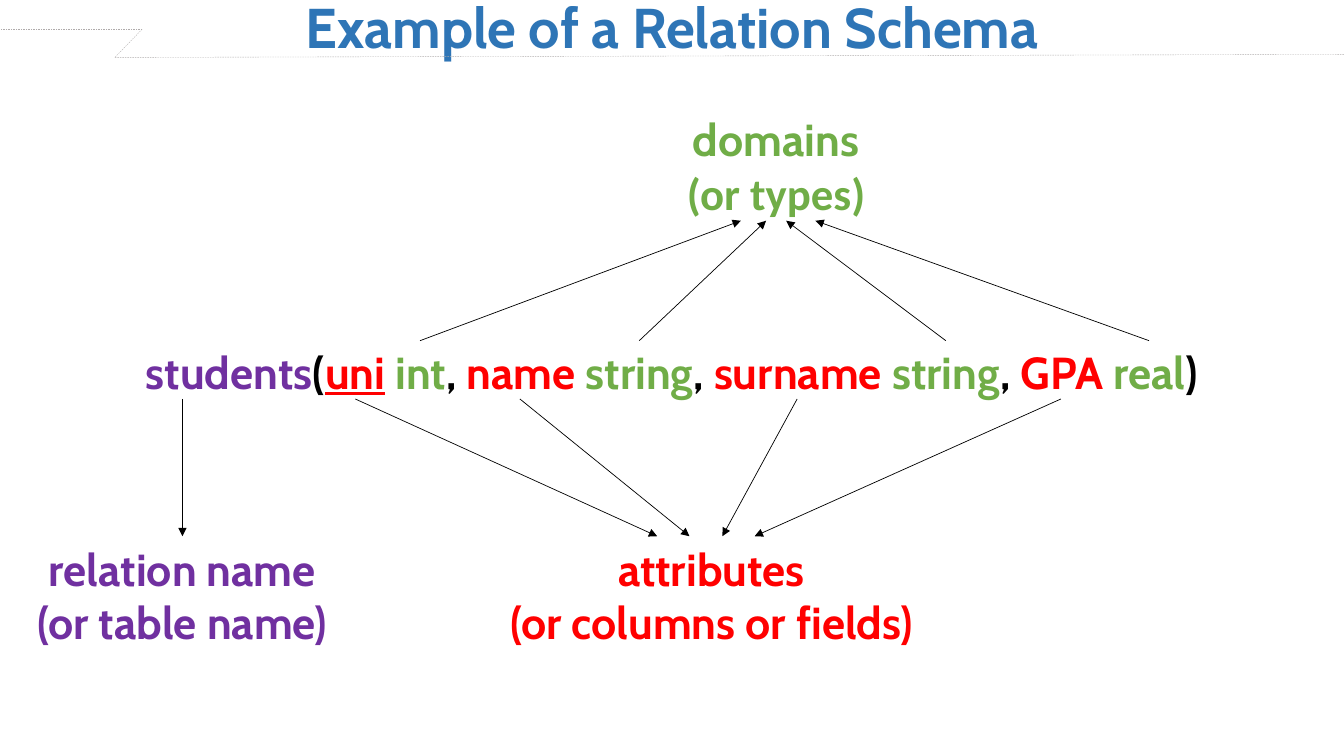
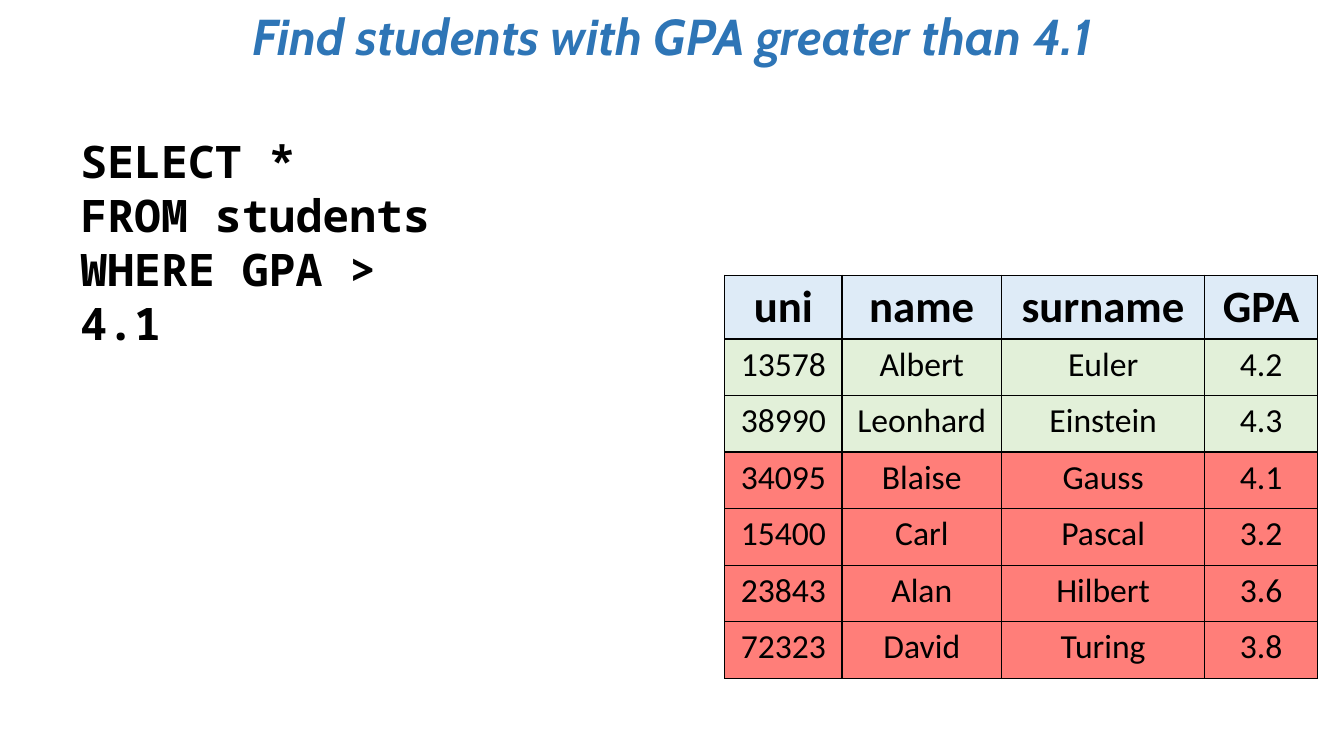
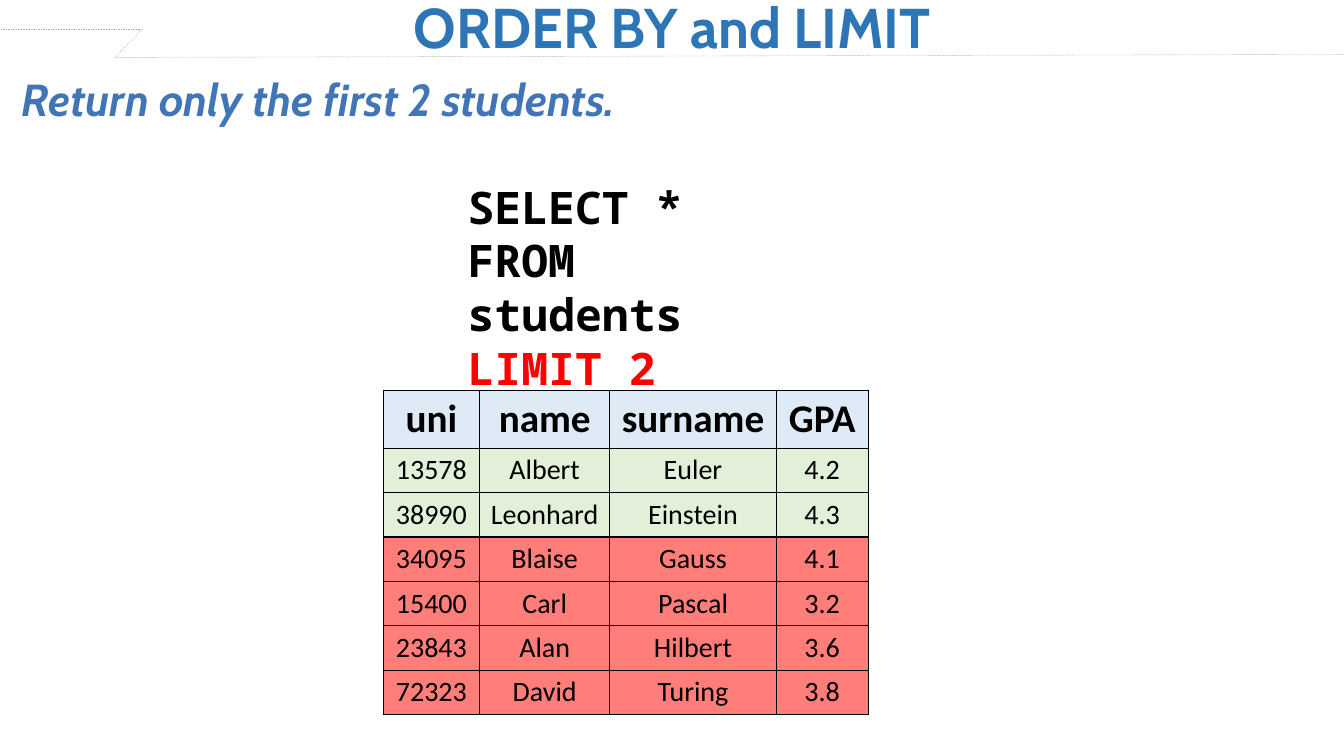
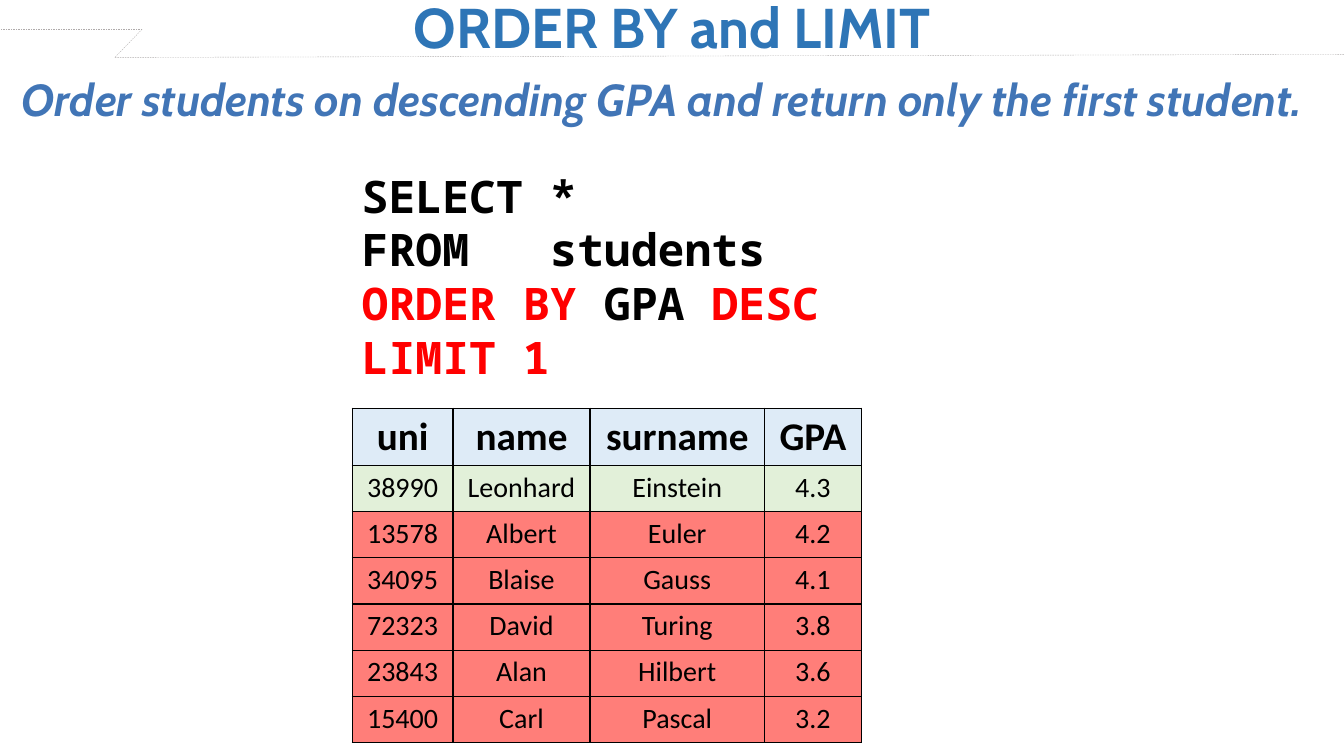
from lxml.etree import SubElement
from pptx import Presentation
from pptx.dml.color import RGBColor
from pptx.enum.dml import MSO_LINE
from pptx.enum.shapes import MSO_CONNECTOR
from pptx.enum.text import MSO_ANCHOR, MSO_AUTO_SIZE, PP_ALIGN
from pptx.oxml import parse_xml
from pptx.oxml.ns import nsdecls, qn
from pptx.util import Inches, Pt

COLS, ROWS = 160, 90
HEADING, MONO, BODY = "Cabin", "Noto Sans Mono", "Calibri"
BLACK, RED, GREEN, PURPLE = "000000", "FF0000", "70AD47", "7030A0"
BLUE, SUBTITLE_BLUE, GREY = "2E75B6", "4175B6", "AFABAB"
HEADER_FILL, KEPT_FILL, DROPPED_FILL = "DEEBF7", "E2F0D9", "FF7E79"

FIELDS = ("uni", "name", "surname", "GPA")
FIELD_SHARES = (19.8, 26.9, 34.3, 19)
STUDENTS = [
    ("13578", "Albert", "Euler", "4.2"),
    ("38990", "Leonhard", "Einstein", "4.3"),
    ("34095", "Blaise", "Gauss", "4.1"),
    ("15400", "Carl", "Pascal", "3.2"),
    ("23843", "Alan", "Hilbert", "3.6"),
    ("72323", "David", "Turing", "3.8"),
]


def rgb(colour):
    return RGBColor.from_string(colour)


class Deck:
    def __init__(self):
        self.prs = Presentation()
        self.prs.slide_width, self.prs.slide_height = Inches(13.333), Inches(7.5)
        self.s = None

    def x(self, cols):
        return round(self.prs.slide_width * cols / COLS)

    def y(self, rows):
        return round(self.prs.slide_height * rows / ROWS)

    def box(self, left, top, width, height):
        return self.x(left), self.y(top), self.x(width), self.y(height)

    def run(self, p, text, colour, size=32, font=HEADING, bold=True, italic=False, underline=False):
        r = p.add_run()
        r.text = text
        f = r.font
        f.name, f.size, f.bold, f.italic, f.underline = font, Pt(size), bold, italic, underline
        f.color.rgb = rgb(colour)

    def slide(self, title, top=-1.44, height=9.24, size=40, italic=False, band=True):
        self.s = self.prs.slides.add_slide(self.prs.slide_layouts[5])
        sp = self.s.shapes.title
        sp.left, sp.top, sp.width, sp.height = self.box(0, top, COLS, height)
        tf = sp.text_frame
        tf.auto_size, tf.vertical_anchor = MSO_AUTO_SIZE.NONE, MSO_ANCHOR.TOP
        p = tf.paragraphs[0]
        p.alignment = PP_ALIGN.CENTER
        self.run(p, title, BLUE, size, italic=italic)
        if band:
            self.band()

    def band(self):
        corner, foot = (16.92, 3.48), (13.68, 6.84)
        for start, end in ((foot, (COLS, 6.48)), (corner, foot), (corner, (0, 3.48))):
            self.line(start, end, GREY, 0.25).line.dash_style = MSO_LINE.DASH

    def line(self, start, end, colour=BLACK, width=0.5):
        sp = self.s.shapes.add_connector(
            MSO_CONNECTOR.STRAIGHT, self.x(start[0]), self.y(start[1]), self.x(end[0]), self.y(end[1]))
        sp.line.color.rgb = rgb(colour)
        sp.line.width = Pt(width)
        SubElement(sp._element.spPr, qn("a:effectLst"))
        return sp

    def arrow(self, start, end):
        sp = self.line(start, end)
        SubElement(sp.line._get_or_add_ln(), qn("a:tailEnd"), type="triangle")
        return sp

    def text(self, area, paragraphs, align=PP_ALIGN.LEFT, wrap=True, **style):
        sp = self.s.shapes.add_textbox(*self.box(*area))
        tf = sp.text_frame
        tf.word_wrap = wrap
        for i, runs in enumerate(paragraphs):
            p = tf.add_paragraph() if i else tf.paragraphs[0]
            p.alignment = align
            for text, colour, *extra in runs:
                self.run(p, text, colour, **{**style, **(extra[0] if extra else {})})
        return sp

    def label(self, area, colour, first, second, second_font=HEADING):
        return self.text(area, [[(first, colour)], [(second, colour, {"font": second_font})]],
                         PP_ALIGN.CENTER, wrap=False)

    def subtitle(self, text, width, height):
        self.text((1.44, 7.92, width, height), [[(text, SUBTITLE_BLUE)]], italic=True)

    def code(self, area, paragraphs):
        sp = self.text(area, paragraphs, font=MONO)
        for p in sp.text_frame.paragraphs:
            if "\t" in p.text:
                tabs = SubElement(p._p.get_or_add_pPr(), qn("a:tabLst"))
                SubElement(tabs, qn("a:tab"), pos=str(Inches(1.87)), algn="l")

    def cell(self, cell, text, fill, size, bold):
        cell.fill.solid()
        cell.fill.fore_color.rgb = rgb(fill)
        p = cell.text_frame.paragraphs[0]
        p.alignment = PP_ALIGN.CENTER
        self.run(p, text, BLACK, size, BODY, bold)
        tcPr = cell._tc.get_or_add_tcPr()
        for i, side in enumerate("LRTB"):
            tcPr.insert(i, parse_xml(
                f'<a:ln{side} {nsdecls("a")} w="{Pt(1)}"><a:solidFill>'
                f'<a:srgbClr val="{BLACK}"/></a:solidFill></a:ln{side}>'))

    def table(self, left, top, width, header_height, row_height, students, kept, header_size, size):
        height = header_height + row_height * len(students)
        table = self.s.shapes.add_table(
            len(students) + 1, len(FIELDS), *self.box(left, top, width, height)).table
        table.first_row = table.horz_banding = False
        for column, share in zip(table.columns, FIELD_SHARES):
            column.width = self.x(width * share / 100)
        for i, values in enumerate([FIELDS, *students]):
            table.rows[i].height = self.y(row_height if i else header_height)
            fill = HEADER_FILL if i == 0 else KEPT_FILL if i <= kept else DROPPED_FILL
            for j, value in enumerate(values):
                self.cell(table.cell(i, j), value, fill, size if i else header_size, i == 0)


def schema_slide(deck):
    deck.slide("Example of a Relation Schema")
    runs = [("students", PURPLE), ("(", BLACK), ("uni", RED, {"underline": True}), (" ", BLACK),
            ("int", GREEN), (", ", BLACK), ("name ", RED), ("string", GREEN), (", ", BLACK),
            ("surname ", RED), ("string", GREEN), (", ", BLACK), ("GPA ", RED), ("real", GREEN),
            (")", BLACK)]
    tf = deck.text((0, 37.2, COLS, 9.84), [runs], PP_ALIGN.CENTER).text_frame
    tf.margin_left = tf.margin_right = 0
    tf.paragraphs[0].line_spacing = 1.5

    label_top, label_height = 63.84, 14.16
    relation = deck.label((-0.72, label_top, 44.88, label_height), PURPLE,
                          "relation name", "(or table name)")
    deck.label((54.36, label_top, 60.72, label_height), RED, "attributes", "(or columns or fields)")
    deck.label((79.68, 12.72, 25.44, label_height), GREEN, "domains", "(or types)", BODY)

    above_words, below_words = 40.56, 47.5
    deck.arrow((21.72, below_words), (21.72, label_top)).end_connect(relation, 0)
    for word, end in ((42.3, 78.24), (61.9, 82.08), (94.9, 86), (126.3, 89.84)):
        deck.arrow((word, below_words), (end, label_top))
    for word, end in ((50, 88.2), (76.1, 91.2), (112.6, 93.6), (136.8, 97.08)):
        deck.arrow((word, above_words), (end, 26.28))


def filter_slide(deck):
    deck.slide("Find students with GPA greater than 4.1", 0, 8.52, 36, italic=True, band=False)
    deck.code((8.4, 15.36, 46.92, 20.64),
              [[("SELECT *", BLACK)], [("FROM students", BLACK)], [("WHERE GPA > 4.1", BLACK)]])
    deck.table(86.28, 32.76, 70.56, 7.6, 6.73, STUDENTS, 2, 32, 24)


def limit_slide(deck):
    deck.slide("ORDER BY and LIMIT")
    deck.table(45.66, 46.44, 57.72, 6.7, 5.28, STUDENTS, 2, 28, 20)
    deck.subtitle("Return only the first 2 students.", 105.96, 7.68)
    deck.code((54.48, 20.76, 46.92, 20.64),
              [[("SELECT *", BLACK)], [("FROM\tstudents", BLACK)], [("LIMIT 2", RED)]])


def order_slide(deck):
    deck.slide("ORDER BY and LIMIT")
    deck.subtitle("Order students on descending GPA and return only the first student.", 158.64, 14.16)
    deck.code((41.88, 19.44, 65.16, 27.12),
              [[("SELECT *", BLACK)], [("FROM\tstudents", BLACK)],
               [("ORDER BY ", RED), ("GPA ", BLACK), ("DESC", RED)], [("LIMIT 1", RED)]])
    ranked = sorted(STUDENTS, key=lambda student: float(student[-1]), reverse=True)
    deck.table(41.94, 48.6, 60.6, 6.8, 5.5, ranked, 1, 28, 20)


def main():
    deck = Deck()
    for build in (schema_slide, filter_slide, limit_slide, order_slide):
        build(deck)
    deck.prs.save("out.pptx")


if __name__ == "__main__":
    main()
